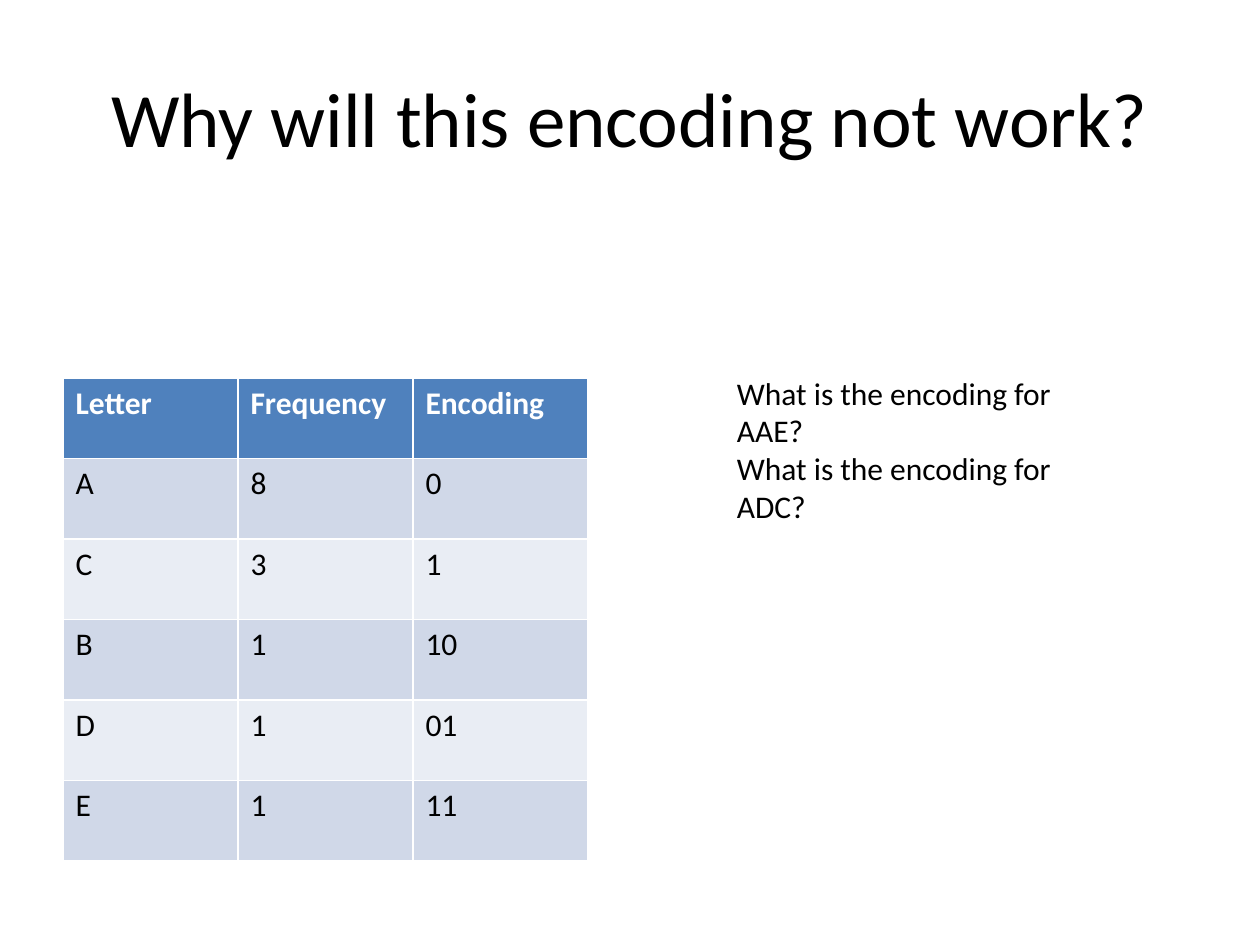
from dataclasses import dataclass

from pptx import Presentation
from pptx.dml.color import RGBColor
from pptx.enum.text import MSO_ANCHOR, MSO_AUTO_SIZE, PP_ALIGN
from pptx.util import Pt


@dataclass(frozen=True)
class Theme:
    """Font, type sizes and colours of the slide."""
    font: str = "Calibri"
    title_size: int = 44
    body_size: int = 18
    text: str = "000000"
    header_text: str = "FFFFFF"
    header_fill: str = "4F81BD"
    bands: tuple = ("D0D8E8", "E9EDF4")


THEME = Theme()
ENCODINGS = [
    ("Letter", "Frequency", "Encoding"),
    ("A", "8", "0"),
    ("C", "3", "1"),
    ("B", "1", "10"),
    ("D", "1", "01"),
    ("E", "1", "11"),
]
QUESTIONS = ["What is the encoding for AAE?", "What is the encoding for ADC?"]


def write_text(tf, *lines, size=THEME.body_size, color=THEME.text, bold=False,
               align=PP_ALIGN.LEFT):
    """Write each line as a formatted paragraph of a text frame."""
    for i, line in enumerate(lines):
        p = tf.add_paragraph() if i else tf.paragraphs[0]
        p.alignment = align
        r = p.add_run()
        r.text = line
        r.font.name = THEME.font
        r.font.size = Pt(size)
        r.font.bold = bold
        r.font.color.rgb = RGBColor.from_string(color)


def set_title(s, text):
    """Place and fill the title placeholder."""
    sp = s.shapes.title
    sp.left, sp.top, sp.width, sp.height = Pt(36), Pt(21.6), Pt(648), Pt(90)
    sp.text_frame.vertical_anchor = MSO_ANCHOR.MIDDLE
    write_text(sp.text_frame, text, size=THEME.title_size, align=PP_ALIGN.CENTER)


def add_data_table(s, rows, left, top, width, height):
    """Add a table with a header row and banded body rows."""
    table = s.shapes.add_table(len(rows), len(rows[0]), Pt(left), Pt(top),
                               Pt(width), Pt(height)).table
    for i, row in enumerate(rows):
        header = i == 0
        fill = THEME.header_fill if header else THEME.bands[(i - 1) % 2]
        color = THEME.header_text if header else THEME.text
        for j, value in enumerate(row):
            cell = table.cell(i, j)
            cell.fill.solid()
            cell.fill.fore_color.rgb = RGBColor.from_string(fill)
            write_text(cell.text_frame, value, color=color, bold=header)


def add_text(s, lines, left, top, width, height):
    """Add a wrapping text box that grows with its text."""
    tf = s.shapes.add_textbox(Pt(left), Pt(top), Pt(width), Pt(height)).text_frame
    tf.word_wrap = True
    tf.auto_size = MSO_AUTO_SIZE.SHAPE_TO_FIT_TEXT
    write_text(tf, *lines)


def main():
    """Build and save the slide."""
    prs = Presentation()
    prs.slide_width, prs.slide_height = Pt(720), Pt(540)
    s = prs.slides.add_slide(prs.slide_layouts[5])
    set_title(s, "Why will this encoding not work?")
    add_data_table(s, ENCODINGS, 36, 216, 300, 276)
    add_text(s, QUESTIONS, 414, 210, 204, 94.5)
    prs.save("out.pptx")


main()
